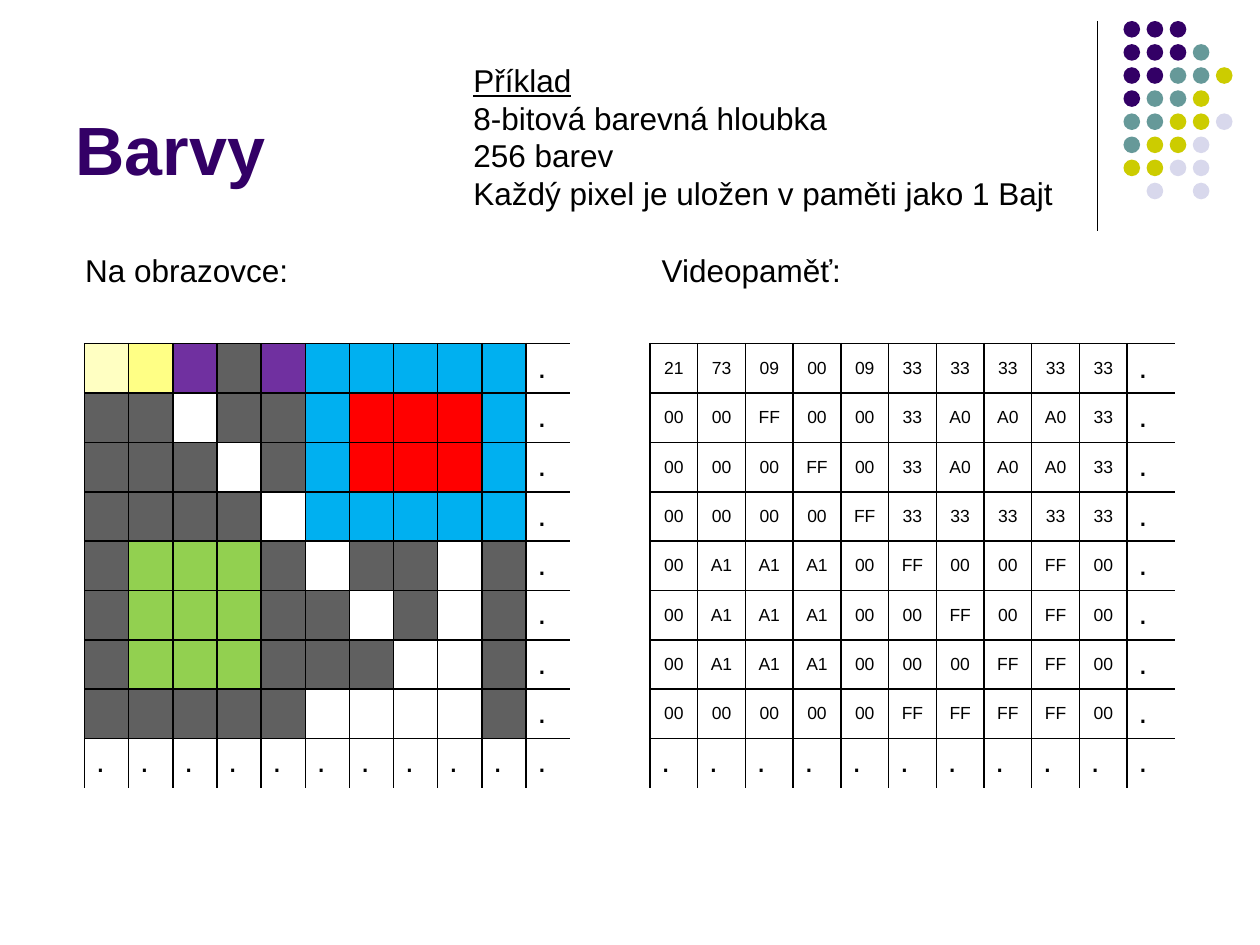
from lxml.etree import SubElement
from pptx import Presentation
from pptx.dml.color import RGBColor
from pptx.enum.shapes import MSO_CONNECTOR, MSO_SHAPE
from pptx.enum.text import MSO_ANCHOR, MSO_AUTO_SIZE, PP_ALIGN
from pptx.oxml.ns import qn
from pptx.util import Pt

BLACK = RGBColor(0x00, 0x00, 0x00)
WHITE = RGBColor(0xFF, 0xFF, 0xFF)
INDIGO = RGBColor(0x33, 0x00, 0x66)
TEAL = RGBColor(0x66, 0x99, 0x99)
OLIVE = RGBColor(0xCC, 0xCC, 0x00)
LAVENDER = RGBColor(0xD8, 0xD8, 0xEC)

PALETTE = {
    "00": RGBColor(0x60, 0x60, 0x60),
    "09": RGBColor(0x70, 0x30, 0xA0),
    "21": RGBColor(0xFF, 0xFF, 0xC2),
    "33": RGBColor(0x00, 0xB0, 0xF0),
    "73": RGBColor(0xFF, 0xFF, 0x85),
    "A0": RGBColor(0xFF, 0x00, 0x00),
    "A1": RGBColor(0x92, 0xD0, 0x50),
    "FF": WHITE,
}
MEMORY = [row.split() for row in (
    "21 73 09 00 09 33 33 33 33 33 .",
    "00 00 FF 00 00 33 A0 A0 A0 33 .",
    "00 00 00 FF 00 33 A0 A0 A0 33 .",
    "00 00 00 00 FF 33 33 33 33 33 .",
    "00 A1 A1 A1 00 FF 00 00 FF 00 .",
    "00 A1 A1 A1 00 00 FF 00 FF 00 .",
    "00 A1 A1 A1 00 00 00 FF FF 00 .",
    "00 00 00 00 00 FF FF FF FF 00 .",
    ". . . . . . . . . . .",
)]
DOT_COLORS = {"I": INDIGO, "T": TEAL, "O": OLIVE, "L": LAVENDER}
DOTS = ("III", "IIIT", "IITTO", "ITTO", "TTOOL", "TOOL", "OOLL", " L L")

BODY = {"name": "Arial", "size": Pt(18)}
UNDERLINED = {**BODY, "underline": True}
BYTE = {**BODY, "size": Pt(10)}
TITLE = {**BODY, "size": Pt(39), "bold": True}
LABEL_FRAME = {"word_wrap": True, "auto_size": MSO_AUTO_SIZE.SHAPE_TO_FIT_TEXT}
TITLE_FRAME = {"word_wrap": True, "vertical_anchor": MSO_ANCHOR.BOTTOM}
CELL = {"margin_left": Pt(6.6), "margin_right": Pt(6.6),
        "margin_top": Pt(3.3), "margin_bottom": Pt(3.3)}


class SlideBuilder:
    """Holds the style and the current slide, and draws each kind of element."""

    def __init__(self, prs):
        self.s = prs.slides.add_slide(prs.slide_layouts[6])
        self.row_height = Pt(27.36)
        self.border = Pt(1)

    def apply(self, target, style):
        for name, value in style.items():
            setattr(target, name, value)

    def run(self, p, text, style, color=BLACK):
        r = p.add_run()
        r.text = text
        self.apply(r.font, style)
        r.font.color.rgb = color

    def text(self, x, y, w, h, lines, frame=LABEL_FRAME, color=BLACK):
        tf = self.s.shapes.add_textbox(Pt(x), Pt(y), Pt(w), Pt(h)).text_frame
        self.apply(tf, frame)
        for i, (line, style) in enumerate(lines):
            p = tf.add_paragraph() if i else tf.paragraphs[0]
            self.run(p, line, style, color)

    def line(self, x1, y1, x2, y2):
        c = self.s.shapes.add_connector(
            MSO_CONNECTOR.STRAIGHT, Pt(x1), Pt(y1), Pt(x2), Pt(y2))
        c.line.color.rgb = BLACK
        c.line.width = Pt(0.75)
        SubElement(c._element.spPr, qn("a:effectLst"))

    def dot(self, x, y, size, color):
        sp = self.s.shapes.add_shape(
            MSO_SHAPE.OVAL, Pt(x), Pt(y), Pt(size), Pt(size))
        sp.shadow.inherit = False
        sp.fill.solid()
        sp.fill.fore_color.rgb = color
        sp.line.fill.background()

    def borders(self, cell, open_sides):
        tc_pr = cell._tc.get_or_add_tcPr()
        for side in "LRTB":
            ln = SubElement(tc_pr, qn(f"a:ln{side}"), w=str(self.border))
            if side in open_sides:
                SubElement(ln, qn("a:noFill"))
            else:
                fill = SubElement(ln, qn("a:solidFill"))
                SubElement(fill, qn("a:srgbClr"), val=str(BLACK))

    def table(self, x, y, col_width, values, as_pixels):
        rows, cols = len(values), len(values[0])
        table = self.s.shapes.add_table(
            rows, cols, Pt(x), Pt(y), Pt(col_width * cols),
            self.row_height * rows).table
        self.apply(table, {"first_row": False, "horz_banding": False})
        for column in table.columns:
            column.width = Pt(col_width)
        for i, row in enumerate(values):
            table.rows[i].height = self.row_height
            for j, value in enumerate(row):
                cell = table.cell(i, j)
                self.apply(cell, CELL)
                open_sides = "R" * (j == cols - 1) + "B" * (i == rows - 1)
                self.borders(cell, open_sides)
                self.fill_cell(cell, value, as_pixels)

    def fill_cell(self, cell, value, as_pixels):
        p = cell.text_frame.paragraphs[0]
        if as_pixels and value in PALETTE:
            cell.fill.solid()
            cell.fill.fore_color.rgb = PALETTE[value]
            return
        cell.fill.background()
        if value in PALETTE:
            cell.vertical_anchor = MSO_ANCHOR.MIDDLE
            p.alignment = PP_ALIGN.CENTER
            self.run(p, value, BYTE)
        else:
            self.run(p, value, BODY)


def main():
    prs = Presentation()
    prs.slide_width, prs.slide_height = Pt(720), Pt(540)
    b = SlideBuilder(prs)

    b.line(627, 12, 627, 132)
    for i, row in enumerate(DOTS):
        for j, key in enumerate(row):
            if key in DOT_COLORS:
                b.dot(642 + 13.2 * j, 12 + 13.2 * i, 9.5, DOT_COLORS[key])

    b.text(36, 9.4, 594, 102.2, [("Barvy", TITLE)], TITLE_FRAME, INDIGO)
    b.table(48.3, 196.4, 25.25, MEMORY, True)
    b.table(371.4, 196.4, 27.28, MEMORY, False)
    b.text(41.6, 139.8, 132, 29, [("Na obrazovce:", BODY)])
    b.text(371, 139.8, 132, 29, [("Videopaměť:", BODY)])
    b.text(263.4, 31.2, 348, 94.4, [
        ("Příklad", UNDERLINED),
        ("8-bitová barevná hloubka", BODY),
        ("256 barev", BODY),
        ("Každý pixel je uložen v paměti jako 1 Bajt", BODY),
    ])
    prs.save("out.pptx")


if __name__ == "__main__":
    main()
